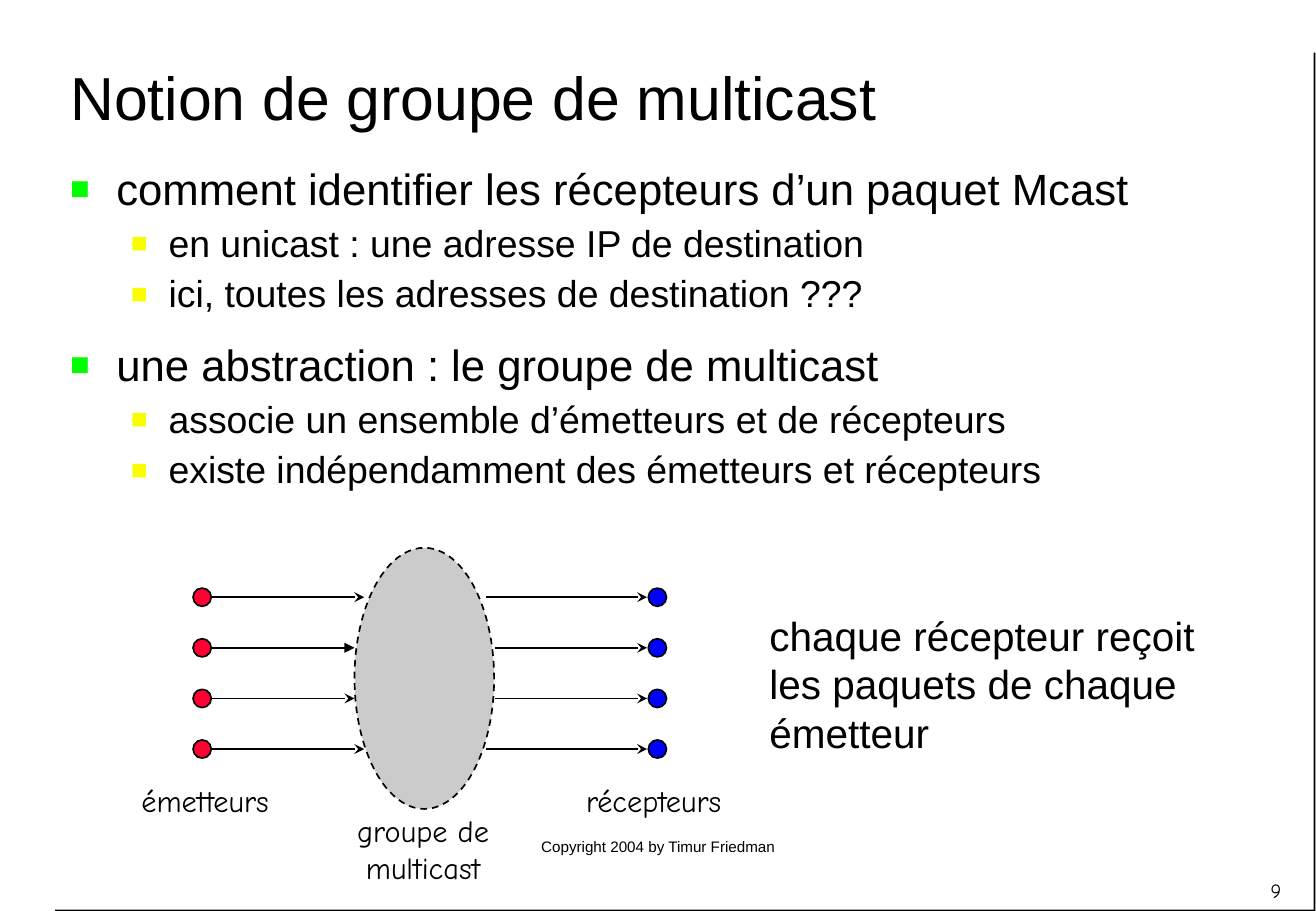
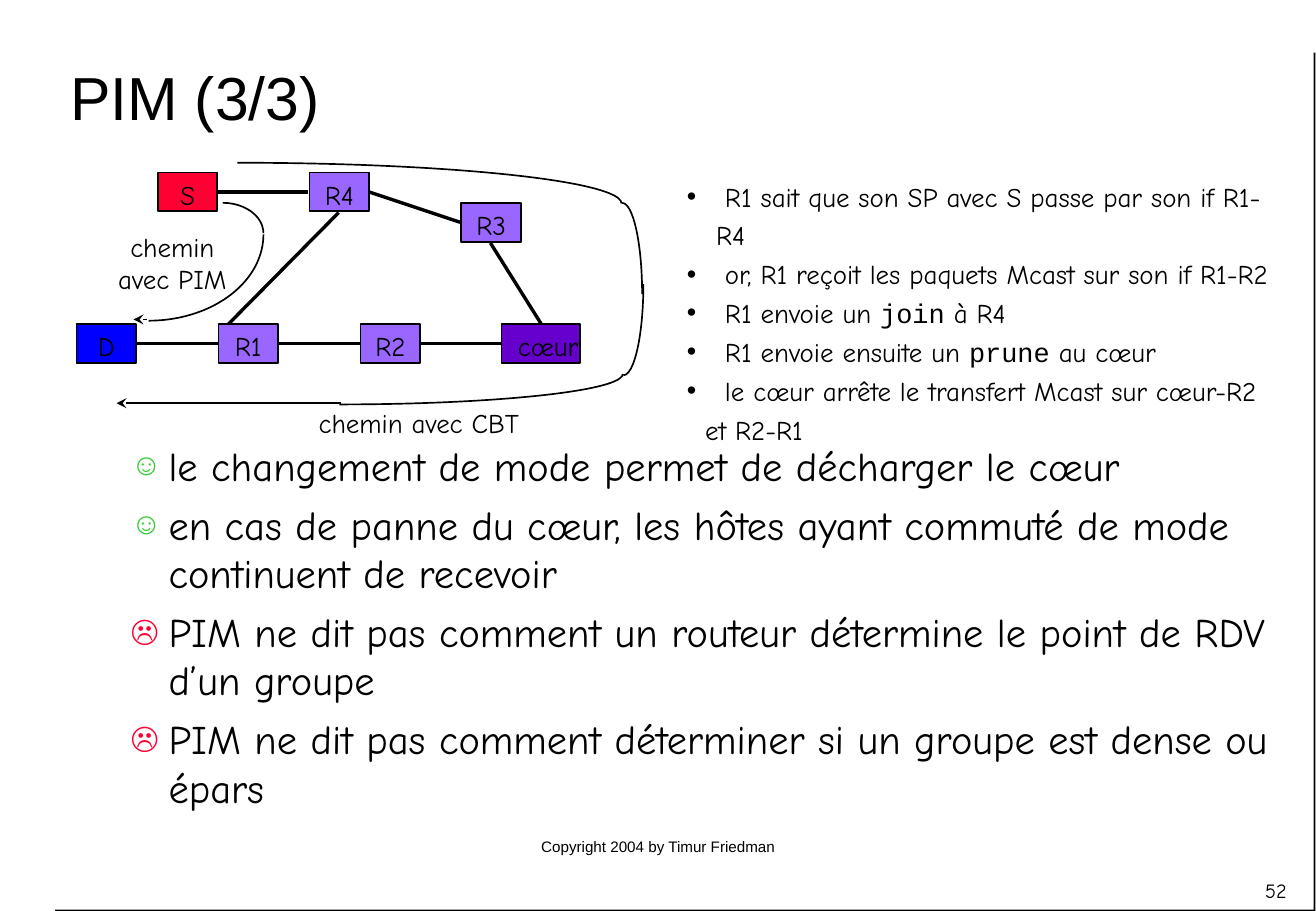
from dataclasses import dataclass

from lxml.etree import SubElement
from pptx import Presentation
from pptx.dml.color import RGBColor
from pptx.enum.dml import MSO_LINE
from pptx.enum.shapes import MSO_CONNECTOR, MSO_SHAPE
from pptx.enum.text import MSO_ANCHOR, PP_ALIGN
from pptx.oxml.ns import qn
from pptx.util import Inches, Pt


@dataclass(frozen=True)
class Theme:
    """Colours, fonts and type sizes shared by the slides."""
    black: str = "000000"
    white: str = "FFFFFF"
    red: str = "FF0033"
    blue: str = "0000FF"
    violet: str = "9966FF"
    purple: str = "6600CC"
    grey: str = "CBCBCB"
    green: str = "00FF00"
    yellow: str = "FAFD00"
    smile: str = "33CC33"
    sans: str = "Arial"
    hand: str = "Comic Neue"
    mono: str = "Courier New"
    title: float = 36
    head: float = 25.9
    sub: float = 22.2
    large: float = 24
    label: float = 18
    small: float = 16
    number: float = 12
    footer: float = 9


T = Theme()
LEVEL1 = dict(size=T.head, bullet="■", color=T.green, left=0.38, hang=0.38, before=7)
LEVEL2 = dict(size=T.sub, bullet="■", color=T.yellow, left=0.81, hang=0.31,
              before=6, spacing=0.9)
PRO = dict(size=T.large, font=T.hand, bullet="☺", color=T.smile, left=0.81,
           hang=0.31, before=6)
CON = {**PRO, "bullet": "☹", "color": T.red}
NOTE = dict(size=T.small, font=T.hand, bullet="•", color=T.black, percent=100,
            left=0.24, hang=0.24, spacing=1.2)


def rgb(value):
    """Turn a hex string into a colour."""
    return RGBColor.from_string(value)


def add_bullet(p, char, color, percent):
    """Give a paragraph a coloured bullet."""
    pPr = p._p.get_or_add_pPr()
    SubElement(SubElement(pPr, qn("a:buClr")), qn("a:srgbClr"), val=color)
    SubElement(pPr, qn("a:buSzPct"), val=str(percent * 1000))
    SubElement(pPr, qn("a:buFont"), typeface=T.sans)
    SubElement(pPr, qn("a:buChar"), char=char)


def write(tf, text, size=T.large, font=T.sans, align=PP_ALIGN.LEFT, bullet=None,
          color=T.black, percent=75, left=0, hang=0, before=0, spacing=None):
    """Write one paragraph, given as a string or as (text, font) runs."""
    p = tf.paragraphs[0]
    if p.runs:
        p = tf.add_paragraph()
    p.alignment = align
    p.space_before = Pt(before)
    if spacing:
        p.line_spacing = spacing
    pPr = p._p.get_or_add_pPr()
    pPr.set("marL", str(Inches(left)))
    pPr.set("indent", str(Inches(-hang)))
    if bullet:
        add_bullet(p, bullet, color, percent)
    for words, face in [(text, font)] if isinstance(text, str) else text:
        r = p.add_run()
        r.text = words
        r.font.size = Pt(size)
        r.font.name = face
        r.font.color.rgb = rgb(T.black)


def add_text(s, box, lines, anchor=MSO_ANCHOR.TOP, wrap=True, **fmt):
    """Add a text box whose lines are texts or (text, format) pairs."""
    tf = s.shapes.add_textbox(*map(Inches, box)).text_frame
    tf.word_wrap = wrap
    tf.vertical_anchor = anchor
    for line in lines:
        text, own = line if isinstance(line, tuple) else (line, {})
        write(tf, text, **{**fmt, **own})


def add_label(s, box, *lines, size=T.small):
    """Add a centred handwritten label."""
    add_text(s, box, lines, wrap=False, size=size, font=T.hand, align=PP_ALIGN.CENTER)


def add_box(s, kind, box, fill, line=T.black):
    """Add a filled preset shape without a shadow."""
    sp = s.shapes.add_shape(kind, *map(Inches, box))
    sp.shadow.inherit = False
    sp.fill.solid()
    sp.fill.fore_color.rgb = rgb(fill)
    if line:
        sp.line.color.rgb = rgb(line)
        sp.line.width = Pt(1)
    else:
        sp.line.fill.background()
    return sp


def add_line(s, start, end, width=1, tail=None):
    """Add a black line, with an arrowhead at its end if named."""
    c = s.shapes.add_connector(MSO_CONNECTOR.STRAIGHT, *map(Inches, (*start, *end)))
    c.line.color.rgb = rgb(T.black)
    c.line.width = Pt(width)
    if tail:
        SubElement(c.line._get_or_add_ln(), qn("a:tailEnd"), type=tail)
    SubElement(c._element.spPr, qn("a:effectLst"))


def add_quarter(s, left, top, width, height, lower):
    """Draw the upper or lower right quarter of the ellipse that fills a box."""
    x, y, w, h = map(Inches, (left, top, width, height))
    fb = s.shapes.build_freeform(x, y)
    fb.add_line_segments([(x + w, y + h)], close=False)
    sp = fb.convert_to_shape()
    outline = next(sp._element.iter(qn("a:path")))
    for part in list(outline):
        outline.remove(part)
    start = (w, h // 2) if lower else (w // 2, 0)
    SubElement(SubElement(outline, qn("a:moveTo")), qn("a:pt"),
               x=str(start[0]), y=str(start[1]))
    SubElement(outline, qn("a:arcTo"), wR=str(w // 2), hR=str(h // 2),
               stAng="0" if lower else "16200000", swAng="5400000")
    sp.shadow.inherit = False
    sp.fill.background()
    sp.line.color.rgb = rgb(T.black)
    sp.line.width = Pt(1)


def add_frame(prs, title, number):
    """Add a slide with its shadowed panel, title, footer and number."""
    s = prs.slides.add_slide(prs.slide_layouts[6])
    panel = add_box(s, MSO_SHAPE.RECTANGLE, (0.44, 0.42, 10.38, 7.07), T.white, None)
    effects = panel._element.spPr.find(qn("a:effectLst"))
    shadow = SubElement(effects, qn("a:outerShdw"), dist=str(Pt(1.5)), dir="2700000",
                        algn="ctr", rotWithShape="0")
    SubElement(shadow, qn("a:srgbClr"), val=T.black)
    add_text(s, (3.46, 6.84, 3.92, 0.52), ["Copyright 2004 by Timur Friedman"],
             size=T.footer, align=PP_ALIGN.CENTER)
    add_text(s, (0.48, 0.17, 10.35, 1.25), [title], MSO_ANCHOR.MIDDLE, size=T.title)
    add_text(s, (10.25, 7.08, 0.52, 0.5), [str(number)], MSO_ANCHOR.MIDDLE,
             size=T.number, font=T.hand, align=PP_ALIGN.CENTER)
    return s


def group_diagram(s, x, y):
    """Draw senders, the multicast group and receivers from a top-left corner."""
    cloud = add_box(s, MSO_SHAPE.OVAL, (x + 1.92, y + 0.01, 1.15, 2.15), T.grey)
    cloud.line.dash_style = MSO_LINE.DASH
    dot = 0.15
    for i in range(4):
        row = y + (i + 1) * 5 / 12
        inset = 0.08 if i in (0, 3) else 0
        add_line(s, (x + 0.67, row), (x + 1.92 + inset, row),
                 tail="triangle" if i == 1 else "stealth")
        add_line(s, (x + 3.08 - inset, row), (x + 4.33, row), tail="stealth")
        for left, fill in ((0.59, T.red), (4.34, T.blue)):
            add_box(s, MSO_SHAPE.OVAL, (x + left, row - dot / 2, dot, dot), fill)
    add_label(s, (x + 0.06, y + 1.89, 1.26, 0.4), "émetteurs", size=T.label)
    add_label(s, (x + 3.72, y + 1.89, 1.33, 0.4), "récepteurs", size=T.label)
    add_label(s, (x + 1.84, y + 2.14, 1.29, 0.7), "groupe de", "multicast", size=T.label)


def path_diagram(s, x, y):
    """Draw the routers, their links and both paths from a top-left corner."""
    links = (((0.53, 1.53), (3.53, 1.53)), ((2.19, 0.45), (1.28, 1.37)),
             ((1.19, 0.28), (1.94, 0.28)), ((2.44, 0.28), (3.19, 0.53)),
             ((3.44, 0.7), (3.86, 1.37)))
    for (x1, y1), (x2, y2) in links:
        add_line(s, (x + x1, y + y1), (x + x2, y + y2), width=2)
    nodes = (("D", 0.03, 1.37, T.blue), ("S", 0.7, 0.12, T.red),
             ("R1", 1.2, 1.37, T.violet), ("R2", 2.37, 1.37, T.violet),
             ("R3", 3.2, 0.37, T.violet), ("R4", 1.95, 0.12, T.violet),
             ("cœur", 3.53, 1.37, T.purple))
    for name, left, top, fill in nodes:
        width, margin = (0.65, 0.12) if name == "cœur" else (0.49, 0)
        sp = add_box(s, MSO_SHAPE.RECTANGLE, (x + left, y + top, width, 0.32), fill)
        tf = sp.text_frame
        tf.margin_left, tf.margin_top = Inches(margin), Inches(0.04)
        tf.margin_right = tf.margin_bottom = 0
        tf.vertical_anchor = MSO_ANCHOR.MIDDLE
        write(tf, name, size=T.small, font=T.hand, align=PP_ALIGN.CENTER)
    cbt = ((-1.81, 0.04, 6.33, 0.67, False), (4.36, 0.37, 0.33, 1.5, False),
           (4.37, 0.29, 0.33, 1.5, True), (-0.14, 1.53, 4.67, 0.5, True))
    pim = ((0.9, 0.37, 0.67, 0.5, False), (-0.32, -0.08, 1.89, 1.42, True))
    for left, top, width, height, lower in cbt + pim:
        add_quarter(s, x + left, y + top, width, height, lower)
    for start, end, level in ((2.21, 0.36, 2.02), (0.61, 0.5, 1.33)):
        add_line(s, (x + start, y + level), (x + end, y + level), tail="stealth")
    add_label(s, (x + 1.92, y + 2, 1.86, 0.37), "chemin avec CBT")
    add_label(s, (x + 0.27, y + 0.55, 1.1, 0.63), "chemin", "avec PIM")


def group_slide(prs):
    """Build the slide on the multicast group."""
    s = add_frame(prs, "Notion de groupe de multicast", 9)
    add_text(s, (0.48, 1.33, 10.35, 3.08), [
        ("comment identifier les récepteurs d’un paquet Mcast", {**LEVEL1, "spacing": 0.9}),
        ("en unicast : une adresse IP de destination", LEVEL2),
        ("ici, toutes les adresses de destination ???", LEVEL2),
        ("une abstraction : le groupe de multicast", {**LEVEL1, "spacing": 1.2}),
        ("associe un ensemble d’émetteurs et de récepteurs", LEVEL2),
        ("existe indépendamment des émetteurs et récepteurs", LEVEL2),
    ])
    group_diagram(s, 1, 4.5)
    add_text(s, (6.24, 4.98, 4.1, 1.3),
             ["chaque récepteur reçoit les paquets de chaque émetteur"])


def pim_slide(prs):
    """Build the slide on PIM."""
    s = add_frame(prs, "PIM (3/3)", 52)
    add_text(s, (0.48, 3.58, 10.35, 3.24), [
        ("le changement de mode permet de décharger le cœur", PRO),
        ("en cas de panne du cœur, les hôtes ayant commuté de mode continuent de recevoir",
         PRO),
        ("PIM ne dit pas comment un routeur détermine le point de RDV d’un groupe", CON),
        ("PIM ne dit pas comment déterminer si un groupe est dense ou épars", CON),
    ])
    add_text(s, (5.56, 1.38, 5.04, 2.02), [
        " R1 sait que son SP avec S passe par son if R1-R4",
        " or, R1 reçoit les paquets Mcast sur son if R1-R2",
        [(" R1 envoie un ", T.hand), ("join", T.mono), (" à R4", T.hand)],
        [(" R1 envoie ensuite un ", T.hand), ("prune", T.mono), (" au cœur", T.hand)],
        " le cœur arrête le transfert Mcast sur cœur-R2",
        ("et R2-R1", dict(bullet=None, left=0.15, hang=0)),
    ], **NOTE)
    path_diagram(s, 0.6, 1.3)


def main():
    """Build and save the presentation."""
    prs = Presentation()
    prs.slide_width, prs.slide_height = Inches(10.84), Inches(7.5)
    group_slide(prs)
    pim_slide(prs)
    prs.save("out.pptx")


if __name__ == "__main__":
    main()
